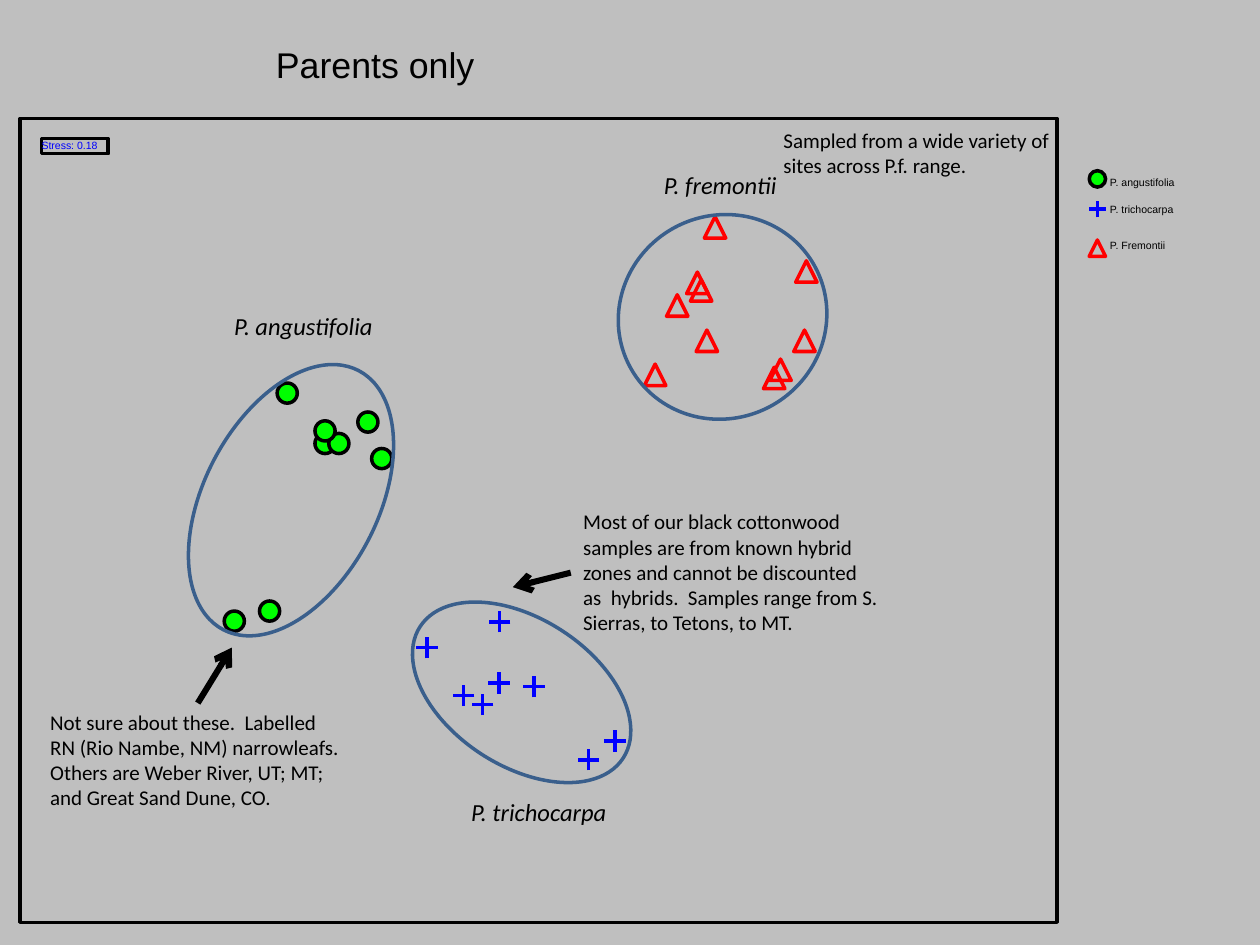
from dataclasses import dataclass

from pptx import Presentation
from pptx.dml.color import RGBColor
from pptx.enum.shapes import MSO_CONNECTOR, MSO_SHAPE
from pptx.enum.text import MSO_ANCHOR, MSO_AUTO_SIZE, PP_ALIGN
from pptx.oxml.ns import qn
from pptx.util import Inches, Pt
from lxml.etree import SubElement


@dataclass(frozen=True)
class Theme:
    back: str = "BFBFBF"
    ink: str = "000000"
    green: str = "00FF00"
    blue: str = "0000FF"
    red: str = "FF0000"
    ring: str = "3A5F8C"
    sans: str = "Arial"
    body: str = "Calibri"
    head: float = 20.4
    name: float = 14
    note: float = 12
    tiny: float = 6
    thin: float = 2
    bold: float = 3.5


@dataclass(frozen=True)
class Box:
    """A place on the grid: left column, top row, columns wide, rows high."""
    x: float
    y: float
    w: float
    h: float


@dataclass(frozen=True)
class Ring:
    box: Box
    turn: float
    name: str
    label: Box


@dataclass(frozen=True)
class Note:
    box: Box
    text: str
    side: int = 0
    tip: tuple[float, float] | None = None


LOOK = Theme()
COLS, ROWS = 100, 75
deck = Presentation()
deck.slide_width, deck.slide_height = Inches(10), Inches(7.5)
slide = deck.slides.add_slide(deck.slide_layouts[5])
slide.background.fill.solid()
slide.background.fill.fore_color.rgb = RGBColor.from_string(LOOK.back)


def col(n: float) -> int:
    return round(deck.slide_width * n / COLS)


def row(n: float) -> int:
    return round(deck.slide_height * n / ROWS)


def spot(box: Box) -> tuple[int, int, int, int]:
    return col(box.x), row(box.y), col(box.w), row(box.h)


def apply(part, form: dict) -> None:
    for key, val in form.items():
        setattr(part, key, val)


def write(shape, text: str, size: float, face: str, tint: str = LOOK.ink,
          wrap: bool = True, pad: bool = True, slant: bool = False) -> None:
    frame = shape.text_frame
    frame.text = text
    apply(frame, {"word_wrap": wrap, "vertical_anchor": MSO_ANCHOR.TOP,
                  "auto_size": MSO_AUTO_SIZE.SHAPE_TO_FIT_TEXT})
    if not pad:
        sides = ("left", "top", "right", "bottom")
        apply(frame, {f"margin_{side}": 0 for side in sides})
    par = frame.paragraphs[0]
    par.alignment = PP_ALIGN.LEFT
    font = par.runs[0].font
    apply(font, {"size": Pt(size), "name": face, "italic": slant})
    font.color.rgb = RGBColor.from_string(tint)


def label(box: Box, text: str, size: float, face: str, **form):
    shape = slide.shapes.add_textbox(*spot(box))
    write(shape, text, size, face, **form)
    return shape


def form(kind: MSO_SHAPE, box: Box, edge: str, fill: str | None = None,
         turn: float = 0):
    shape = slide.shapes.add_shape(kind, *spot(box))
    shape.shadow.inherit = False
    if fill:
        shape.fill.solid()
        shape.fill.fore_color.rgb = RGBColor.from_string(fill)
    else:
        shape.fill.background()
    shape.line.color.rgb = RGBColor.from_string(edge)
    apply(shape.line, {"width": Pt(LOOK.thin)})
    shape.rotation = turn
    return shape


def stroke(x1: float, y1: float, x2: float, y2: float, tint: str, width: float):
    line = slide.shapes.add_connector(
        MSO_CONNECTOR.STRAIGHT, col(x1), row(y1), col(x2), row(y2))
    line.line.color.rgb = RGBColor.from_string(tint)
    line.line.width = Pt(width)
    SubElement(line._element.spPr, qn("a:effectLst"))
    return line


# Marks are placed by their centre
def dot(x: float, y: float, size: float = 1.6) -> None:
    form(MSO_SHAPE.OVAL, Box(x - size / 2, y - size / 2, size, size),
         LOOK.ink, LOOK.green)


def plus(x: float, y: float, size: float = 1.7) -> None:
    half = size / 2
    stroke(x, y + half, x, y - half, LOOK.blue, LOOK.thin)
    stroke(x + half, y, x - half, y, LOOK.blue, LOOK.thin)


def peak(x: float, y: float, size: float = 1.7) -> None:
    form(MSO_SHAPE.ISOSCELES_TRIANGLE,
         Box(x - size / 2, y - size / 2, size, size), LOOK.red)


def remark(note: Note) -> None:
    shape = label(note.box, note.text, LOOK.note, LOOK.body)
    if note.tip:
        arrow = stroke(*note.tip, *note.tip, LOOK.ink, LOOK.bold)
        arrow.begin_connect(shape, note.side)
        SubElement(arrow.line._get_or_add_ln(), qn("a:tailEnd"), type="arrow")


# Title, plot frame and stress value
title = slide.shapes.title
apply(title, dict(zip(("left", "top", "width", "height"),
                      spot(Box(21.9, 3.4, 41.4, 3.4)))))
write(title, "Parents only", LOOK.head, LOOK.sans, pad=False)
form(MSO_SHAPE.RECTANGLE, Box(1.6, 9.4, 82.3, 63.8), LOOK.ink)
write(form(MSO_SHAPE.RECTANGLE, Box(3.3, 11, 5.3, 1.2), LOOK.ink),
      "Stress: 0.18", LOOK.tiny, LOOK.sans, LOOK.blue, wrap=False, pad=False)

# Legend: mark, its row, text, text row
for mark, y, text, top in ((dot, 14.2, "P. angustifolia", 14),
                           (plus, 16.6, "P. trichocarpa", 16.1),
                           (peak, 19.7, "P. Fremontii", 19)):
    mark(87.1, y, 1.3)
    label(Box(88.1, top, 5.3, 1), text, LOOK.tiny, LOOK.sans,
          wrap=False, pad=False)

# Samples, back to front
SAMPLES = {
    dot: [(25.8, 35.2), (26.9, 35.2), (29.2, 33.5), (22.8, 31.2), (30.3, 36.4),
          (25.8, 34.2), (21.4, 48.5), (18.6, 49.3)],
    plus: [(33.9, 51.4), (39.6, 54.2), (42.4, 54.5), (48.8, 58.8), (46.7, 60.3),
           (38.3, 55.9), (36.8, 55.2), (39.65, 49.35)],
    peak: [(63.85, 27.05), (64, 21.55), (55.35, 22.45), (56.75, 18.05),
           (52, 29.75), (61.95, 29.35), (61.45, 30), (56.1, 27.05),
           (53.75, 24.25), (55.65, 23.05)],
}
for mark, spots in SAMPLES.items():
    for x, y in spots:
        mark(x, y)

# Species rings and names
RINGS = [
    Ring(Box(49, 17.1, 16.7, 16.1), 330.3, "P. fremontii", Box(51.7, 13, 13.7, 4.3)),
    Ring(Box(31.8, 49.1, 19.2, 11.7), 32.9, "P. trichocarpa", Box(36.4, 62.8, 16, 4.3)),
    Ring(Box(16.2, 28.1, 13.8, 23.2), 27.6, "P. angustifolia", Box(17.6, 24.2, 16.3, 4.3)),
]
for ring in RINGS:
    form(MSO_SHAPE.OVAL, ring.box, LOOK.ring, turn=ring.turn)
    label(ring.label, ring.name, LOOK.name, LOOK.body, wrap=False, slant=True)

# Notes, with arrows to the samples they explain
NOTES = [
    Note(Box(3, 55.8, 25.4, 9.1),
         "Not sure about these.  Labelled RN (Rio Nambe, NM) narrowleafs.  "
         "Others are Weber River, UT; MT; and Great Sand Dune, CO.",
         0, (18.4, 51.4)),
    Note(Box(45.3, 39.9, 25.4, 11.1),
         "Most of our black cottonwood samples are from known hybrid zones and "
         "cannot be discounted as  hybrids.  Samples range from S. Sierras, "
         "to Tetons, to MT.", 1, (40.7, 46.6)),
    Note(Box(61.2, 9.6, 25.4, 5),
         "Sampled from a wide variety of sites across P.f. range."),
]
for note in NOTES:
    remark(note)

deck.save("out.pptx")
